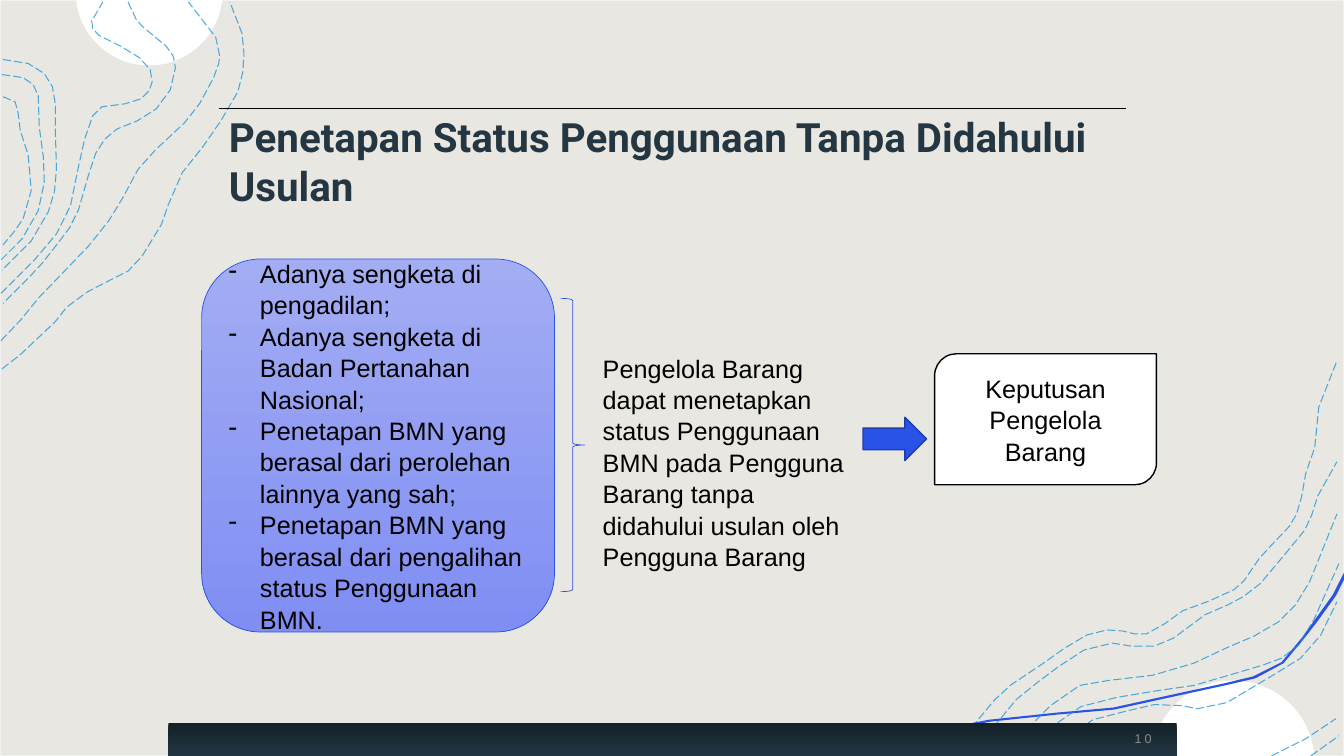
import math
import pptx
import pptx.dml.color
import pptx.enum.dml
import pptx.enum.shapes
import pptx.enum.text
import pptx.util
from lxml import etree
from pptx.oxml.ns import qn

PX = 9144  # EMU per px, 100 px to the inch
WIDTH, HEIGHT = 1333, 750
SHAPE = pptx.enum.shapes.MSO_SHAPE
ALIGN = pptx.enum.text.PP_ALIGN
ANCHOR = pptx.enum.text.MSO_ANCHOR
COLORS = {
    "paper": "E8E7E2", "edge": "F2F2F2", "white": "FFFFFF", "black": "000000",
    "blue": "2953E7", "dark blue": "1E3DAB", "contour": "1791D5",
    "title": "243641", "number": "8C8C8C",
    "bar top": "142028", "bar bottom": "223743",
    "cause top": "A3ADF4", "cause bottom": "808EF3",
}

CAUSES = [
    "Adanya sengketa di pengadilan;",
    "Adanya sengketa di Badan Pertanahan Nasional;",
    "Penetapan BMN yang berasal dari perolehan lainnya yang sah;",
    "Penetapan BMN yang berasal dari pengalihan status Penggunaan BMN.",
]
AUTHORITY = ("Pengelola Barang dapat menetapkan status Penggunaan BMN pada Pengguna "
             "Barang tanpa didahului usulan oleh Pengguna Barang")

# Points that each dashed contour runs through, in px
TOP_LEFT_CONTOURS = [
    [(2, 366), (20, 352), (55, 319), (66, 305), (86, 290), (111, 277), (127, 269), (141, 254),
     (160, 223), (167, 203), (181, 171), (201, 146), (219, 120), (236, 91), (241, 71), (242, 53),
     (240, 33), (228, 2)],
    [(1, 338), (21, 317), (38, 296), (64, 269), (88, 244), (108, 219), (122, 196), (137, 168),
     (154, 149), (183, 122), (198, 103), (212, 77), (217, 63), (218, 56), (214, 37), (187, 2)],
    [(127, 2), (135, 19), (141, 26), (165, 46), (172, 56), (174, 67), (169, 89), (155, 108),
     (136, 120), (116, 128), (104, 138), (95, 152), (88, 173), (78, 208), (69, 226), (60, 238),
     (42, 261), (28, 276), (3, 301)],
    [(1, 291), (35, 257), (56, 232), (70, 204), (78, 165), (84, 138), (92, 115), (101, 106),
     (124, 103), (140, 98), (148, 90), (151, 81), (149, 69), (138, 57), (120, 46), (98, 35),
     (92, 28), (91, 21), (102, 2)],
    [(3, 59), (28, 63), (44, 73), (52, 86), (55, 104), (55, 132), (56, 168), (54, 190),
     (48, 210), (31, 239), (2, 268)],
    [(2, 74), (23, 77), (33, 84), (38, 95), (39, 126), (43, 155), (44, 181), (38, 209),
     (22, 237), (1, 258)],
    [(3, 96), (15, 101), (18, 112), (20, 129), (28, 154), (31, 189), (23, 217), (14, 230),
     (3, 243)],
]
BOTTOM_RIGHT_CONTOURS = [
    [(942, 748), (971, 713), (986, 695), (1002, 680), (1032, 660), (1056, 643), (1078, 630),
     (1098, 625), (1113, 626), (1126, 629), (1137, 629), (1155, 619), (1173, 606), (1200, 596),
     (1224, 585), (1234, 576), (1249, 554), (1261, 541), (1279, 522), (1286, 510), (1291, 493),
     (1295, 470), (1304, 444), (1308, 404), (1326, 358)],
    [(969, 750), (985, 722), (1008, 694), (1029, 677), (1049, 662), (1075, 645), (1103, 638),
     (1122, 641), (1145, 641), (1164, 633), (1195, 610), (1218, 600), (1233, 592), (1250, 579),
     (1276, 548), (1294, 526), (1301, 511), (1307, 492), (1326, 458)],
    [(1300, 750), (1328, 730)],
    [(1261, 750), (1295, 733), (1325, 713)],
    [(1043, 748), (1063, 729), (1084, 714), (1119, 705), (1145, 699), (1171, 700), (1188, 703),
     (1217, 697), (1264, 669), (1290, 653), (1310, 630), (1326, 597)],
    [(1019, 750), (1039, 724), (1072, 701), (1107, 692), (1149, 685), (1184, 680), (1215, 671),
     (1252, 660), (1271, 653), (1288, 640), (1303, 615), (1328, 559)],
    [(999, 750), (1012, 730), (1042, 700), (1071, 680), (1100, 675), (1143, 670), (1184, 658),
     (1216, 643), (1244, 631), (1268, 617), (1285, 600), (1299, 577), (1326, 510)],
]
RIBBON = [
    (1333, 575), (1325, 591), (1307, 616), (1293, 634), (1273, 658), (1245, 673), (1215, 680),
    (1155, 693), (1105, 704), (1048, 709), (982, 716), (925, 727), (904, 735), (877, 750),
    (872, 750), (903, 733), (924, 725), (981, 714), (1048, 707), (1104, 702), (1154, 691),
    (1214, 678), (1243, 671), (1271, 657), (1291, 633), (1304, 615), (1322, 590), (1333, 568)]


def rgb(name):
    return pptx.dml.color.RGBColor.from_string(COLORS[name])


def box(*lengths):
    return [length * PX for length in lengths]


def paint(part, fill=None, line=None, weight=1):
    """Fill is a colour name, a (top, bottom) pair or None; line is a name or None."""
    part.shadow.inherit = False
    if fill is None:
        part.fill.background()
    elif isinstance(fill, tuple):
        part.fill.gradient()
        part.fill.gradient_angle = 270
        for stop, name in zip(part.fill.gradient_stops, fill):
            stop.color.rgb = rgb(name)
    else:
        part.fill.solid()
        part.fill.fore_color.rgb = rgb(fill)
    if line is None:
        part.line.fill.background()
    else:
        part.line.color.rgb = rgb(line)
        part.line.width = pptx.util.Pt(weight)


def add_block(slide, preset, frame, fill=None, line=None, weight=1):
    block = slide.shapes.add_shape(preset, *box(*frame))
    paint(block, fill, line, weight)
    return block


def add_outline(slide, points, close, **look):
    (x, y), *rest = [box(*point) for point in points]
    builder = slide.shapes.build_freeform(x, y)
    builder.add_line_segments(rest, close=close)
    outline = builder.convert_to_shape()
    paint(outline, **look)
    return outline


def add_contour(slide, points):
    contour = add_outline(slide, points, False, line="contour", weight=0.75)
    contour.line.dash_style = pptx.enum.dml.MSO_LINE.LONG_DASH
    color = contour.line._ln.find(".//" + qn("a:srgbClr"))
    etree.SubElement(color, qn("a:alpha"), val="75000")


def add_cap(slide, cx, cy, radius, edge, steps=24):
    """White disc cut off by the slide edge at y = edge."""
    side = -1 if edge else 1
    start = side * math.asin((edge - cy) / radius)
    sweep = math.pi - 2 * start
    angles = [start + sweep * i / steps for i in range(steps + 1)]
    add_outline(slide, [(cx + radius * math.cos(a), cy + side * radius * math.sin(a))
                        for a in angles], True, fill="white")


def write(part, texts, size=18, color="black", font="Arial", align=ALIGN.LEFT,
          anchor=ANCHOR.MIDDLE, spacing=1.04, bold=False, bullet=None):
    frame = part.text_frame
    frame.word_wrap = True
    frame.auto_size = pptx.enum.text.MSO_AUTO_SIZE.NONE
    frame.vertical_anchor = anchor
    frame.text = "\n".join(texts)
    for paragraph in frame.paragraphs:
        paragraph.alignment = align
        paragraph.line_spacing = spacing
        if bullet:
            props = paragraph._p.get_or_add_pPr()
            props.set("marL", str(31 * PX))
            props.set("indent", str(-31 * PX))
            etree.SubElement(props, qn("a:buChar"), char=bullet)
        paragraph.font.size = pptx.util.Pt(size)
        paragraph.font.name = font
        paragraph.font.bold = bold
        paragraph.font.color.rgb = rgb(color)


def add_background(slide):
    add_block(slide, SHAPE.RECTANGLE, (0, 0, WIDTH, HEIGHT), "paper", "edge")
    add_cap(slide, 148, -8, 73, 0)
    add_cap(slide, 1223, 756, 81, HEIGHT)
    add_outline(slide, RIBBON, True, fill="blue")
    for points in TOP_LEFT_CONTOURS + BOTTOM_RIGHT_CONTOURS:
        add_contour(slide, points)


def add_title(slide):
    rule = slide.shapes.add_connector(pptx.enum.shapes.MSO_CONNECTOR.STRAIGHT,
                                      *box(217, 108, 1117, 108))
    rule.line.color.rgb = rgb("black")
    rule.line.width = pptx.util.Pt(0.5)
    etree.SubElement(rule._element.spPr, qn("a:effectLst"))
    title = slide.shapes.title
    title.left, title.top, title.width, title.height = box(217, 117, 900, 85)
    write(title, ["Penetapan Status Penggunaan Tanpa Didahului Usulan"], 28.8, "title",
          "Roboto", spacing=1.0, bold=True)
    slide.shapes._spTree.append(title._element)  # in front of the background


def add_footer(slide):
    add_block(slide, SHAPE.RECTANGLE, (167, 717, 1000, 33), ("bar top", "bar bottom"))
    number = slide.shapes.add_textbox(*box(919, 719, 233, 27))
    write(number, ["10"], 9, "number", align=ALIGN.RIGHT, spacing=1.0)
    number.text_frame.paragraphs[0].runs[0]._r.get_or_add_rPr().set("spc", "200")


def add_flow(slide):
    causes = add_block(slide, SHAPE.ROUNDED_RECTANGLE, (200, 257, 350, 370),
                       ("cause top", "cause bottom"), "blue", 0.5)
    write(causes, CAUSES, bullet="-")
    add_block(slide, SHAPE.RIGHT_BRACE, (556, 296, 24, 291), line="blue", weight=0.5)
    authority = slide.shapes.add_textbox(*box(588, 344, 276, 222))
    write(authority, [AUTHORITY], anchor=ANCHOR.TOP)
    add_block(slide, SHAPE.RIGHT_ARROW, (856, 414, 63, 43), "blue", "dark blue")
    decision = add_block(slide, SHAPE.ROUND_2_DIAG_RECTANGLE, (927, 351, 220, 130),
                         "white", "black")
    write(decision, ["Keputusan Pengelola Barang"], align=ALIGN.CENTER)


def main():
    deck = pptx.Presentation()
    deck.slide_width, deck.slide_height = box(WIDTH, HEIGHT)
    slide = deck.slides.add_slide(deck.slide_layouts[5])
    add_background(slide)
    add_title(slide)
    add_footer(slide)
    add_flow(slide)
    deck.save("out.pptx")


if __name__ == "__main__":
    main()
